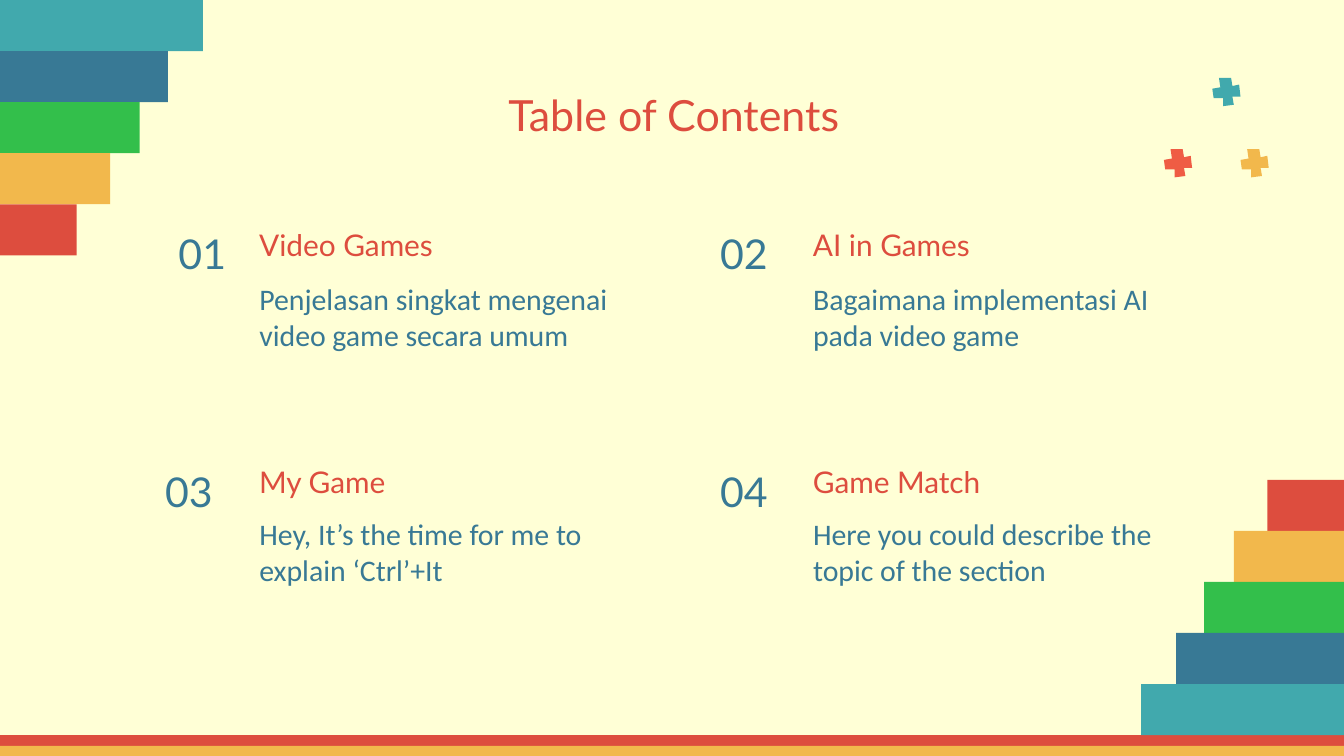
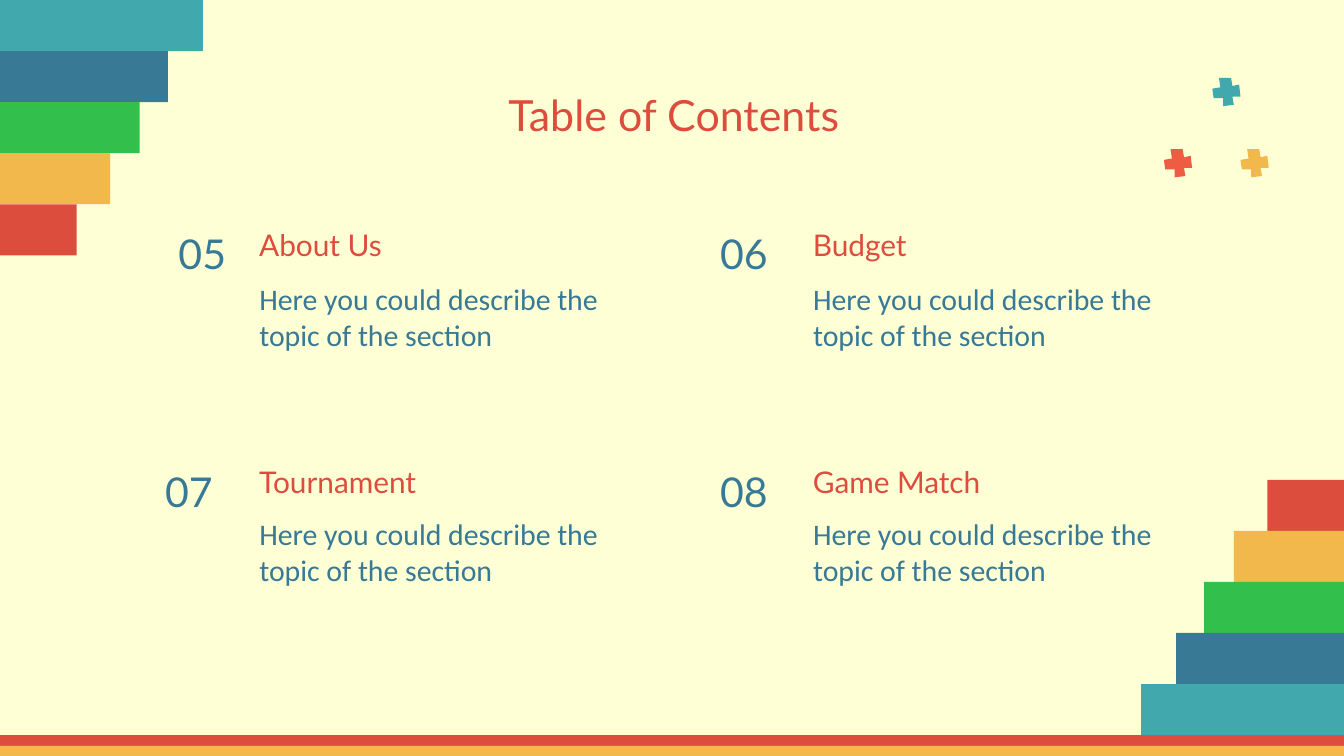
from lxml.etree import SubElement as Sub
from pptx import Presentation
from pptx.dml.color import RGBColor as RGB
from pptx.enum.shapes import MSO_SHAPE as Shape
from pptx.enum.text import MSO_ANCHOR as Anchor, MSO_AUTO_SIZE as Fit, PP_ALIGN as Align
from pptx.oxml.ns import qn
from pptx.util import Inches, Pt

CREAM = RGB(0xFF, 0xFF, 0xD6)
RED = RGB(0xDD, 0x4D, 0x3E)
GOLD = RGB(0xF2, 0xB8, 0x4C)
GREEN = RGB(0x33, 0xBF, 0x4B)
BLUE = RGB(0x38, 0x79, 0x95)
TEAL = RGB(0x41, 0xA9, 0xAD)
CORAL = RGB(0xEF, 0x5C, 0x44)

# The slide is a grid of square cells, 100 across.
WIDE, HIGH = 100, 56.25
CELL = Inches(10) / WIDE

STRIPE = 0.8
FLOOR = 54.7
STEP = 3.8
STEPS = [(15.1, TEAL), (12.5, BLUE), (10.4, GREEN), (8.2, GOLD), (5.7, RED)]
PLUS = [(15, 14), (16, 20), (8, 21), (8, 15), (1, 15), (0, 8),
        (6, 7), (5, 0), (14, 0), (15, 6), (20, 5), (21, 14)]
SPARKS = [(86.6, 11.1, CORAL), (90.2, 5.8, TEAL), (92.3, 11.1, GOLD)]

# Left and top of each topic, shift to its number, drop to its text.
SLOTS = [(18.3, 15.1, -9.1, 4.8), (59.5, 15.1, -10, 4.8),
         (18.3, 32.8, -10.1, 4.6), (59.5, 32.8, -10, 4.6)]

FILLER = "Here you could describe the topic of the section"
PAGES = [
    [("Video Games", "Penjelasan singkat mengenai video game secara umum"),
     ("AI in Games", "Bagaimana implementasi AI pada video game"),
     ("My Game", "Hey, It’s the time for me to explain ‘Ctrl’+It"),
     ("Game Match", FILLER)],
    [(name, FILLER) for name in ("About Us", "Budget", "Tournament", "Game Match")],
]


def cells(*sizes):
    return [round(size * CELL) for size in sizes]


def paint(shape, color):
    shape.shadow.inherit = False
    shape.fill.solid()
    shape.fill.fore_color.rgb = color
    shape.line.fill.background()


def bar(slide, box, color):
    paint(slide.shapes.add_shape(Shape.RECTANGLE, *cells(*box)), color)


def write(shape, text, size, color, face="Lato", align=Align.LEFT, anchor=Anchor.BOTTOM):
    frame = shape.text_frame
    frame.word_wrap = True
    frame.auto_size = Fit.NONE
    frame.vertical_anchor = anchor
    frame.margin_left = frame.margin_right = Inches(0.1)
    frame.margin_top = frame.margin_bottom = Inches(0.1)
    frame.text = text
    para = frame.paragraphs[0]
    para.alignment = align
    para.space_before = Pt(0)
    font = para.font
    font.name, font.size, font.bold = face, Pt(size), False
    font.color.rgb = color


def place(shape, *box):
    shape.left, shape.top, shape.width, shape.height = cells(*box)


def floor(slide, top):
    for row, color in enumerate((RED, GOLD)):
        bar(slide, (0, top + row * STRIPE, WIDE, STRIPE), color)


def stairs(slide, edge, top, rise=False):
    """Stack the steps from a side edge, widest first, or last if they rise."""
    for row, (width, color) in enumerate(reversed(STEPS) if rise else STEPS):
        left = edge - width if rise else edge
        bar(slide, (left, top + row * STEP, width, STEP), color)


def spark(slide, left, top, color):
    pen = slide.shapes.build_freeform(*PLUS[0], scale=CELL / 10)
    pen.add_line_segments(PLUS[1:], close=True)
    paint(pen.convert_to_shape(*cells(left, top)), color)


def topic(slide, body, slot, number, name, text):
    left, top, shift, drop = slot
    head = slide.shapes.add_textbox(*cells(left, top, 32.2, 5.4))
    write(head, name, 16, RED)
    label = slide.shapes.add_textbox(*cells(left + shift, top - 0.75, 11.7, 7.3))
    write(label, f"{number:02}", 22, BLUE, align=Align.CENTER)

    place(body, left, top + drop, 30.3, 7.3)
    write(body, text, 16, BLUE, face="Calibri", anchor=Anchor.TOP)
    para = body.text_frame.paragraphs[0]
    para.space_after = Pt(12)
    props = para._p.get_or_add_pPr()
    props.set("marL", "0")
    props.set("indent", "0")
    bullet = Sub(props, qn("a:buNone"))
    props.find(qn("a:spcAft")).addnext(bullet)


def contents(deck, first, topics):
    slide = deck.slides.add_slide(deck.slide_layouts.get_by_name("Comparison"))
    floor(slide, FLOOR)
    stairs(slide, 0, 0)
    stairs(slide, WIDE, FLOOR - len(STEPS) * STEP, rise=True)
    for item in SPARKS:
        spark(slide, *item)

    title, *bodies = slide.placeholders
    place(title, 7.9, 5.6, 84.5, 6.3)
    write(title, "Table of Contents", 23, RED, align=Align.CENTER, anchor=Anchor.TOP)
    for row, (body, slot, pair) in enumerate(zip(bodies, SLOTS, topics)):
        topic(slide, body, slot, first + row, *pair)


def main():
    deck = Presentation()
    deck.slide_width, deck.slide_height = cells(WIDE, HIGH)
    back = deck.slide_master.background.fill
    back.solid()
    back.fore_color.rgb = CREAM
    for page, topics in enumerate(PAGES):
        contents(deck, page * len(SLOTS) + 1, topics)
    deck.save("out.pptx")


if __name__ == "__main__":
    main()
